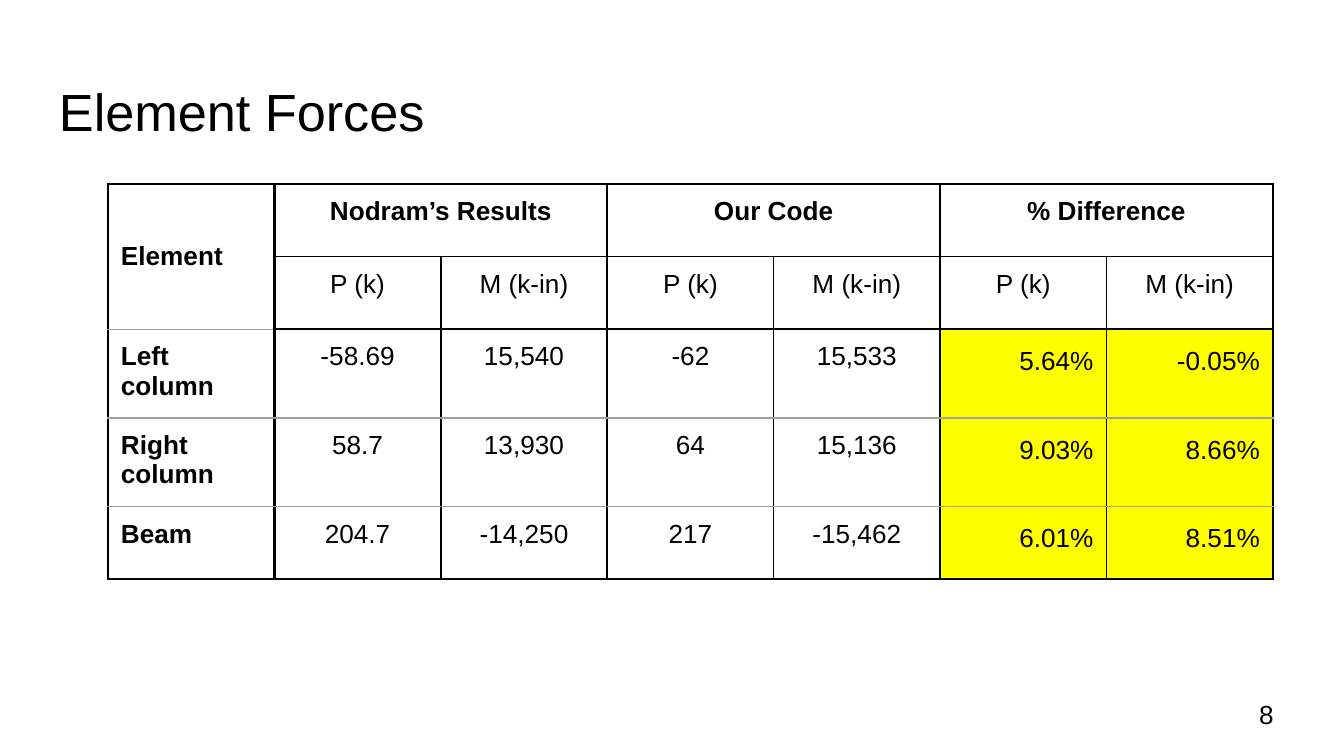
from dataclasses import dataclass

from lxml import etree
from pptx import Presentation
from pptx.dml.color import RGBColor
from pptx.enum.text import MSO_ANCHOR, MSO_AUTO_SIZE, PP_ALIGN
from pptx.oxml.ns import qn
from pptx.util import Emu, Pt

LEFT, CENTER, RIGHT = PP_ALIGN.LEFT, PP_ALIGN.CENTER, PP_ALIGN.RIGHT
TOP, MIDDLE = MSO_ANCHOR.TOP, MSO_ANCHOR.MIDDLE
NO_AUTOFIT = MSO_AUTO_SIZE.NONE
TITLE_ONLY_LAYOUT = 5
EMU_PER_PIXEL = 914400 / 134.4


@dataclass(frozen=True)
class Theme:
    font: str = "Arial"
    ink: str = "000000"
    grid: str = "9E9E9E"
    highlight: str = "FFFF00"
    title_size: int = 28
    text_size: int = 14


@dataclass(frozen=True)
class Box:
    left: int
    top: int
    width: int
    height: int

    def emu(self) -> tuple:
        return tuple(px(value) for value in (self.left, self.top, self.width, self.height))


@dataclass(frozen=True)
class Border:
    color: str
    points: float


@dataclass(frozen=True)
class CellStyle:
    align: PP_ALIGN = CENTER
    bold: bool = False
    fill: str = ""
    spacing: float = 1.0


def px(pixels: float) -> Emu:
    return Emu(round(pixels * EMU_PER_PIXEL))


THEME = Theme()
INSET = px(13)
THICK, MEDIUM = Border(THEME.ink, 1.5), Border(THEME.ink, 1)
THIN = Border(THEME.grid, 0.75)

LABEL = CellStyle(align=LEFT, bold=True)
GROUP = CellStyle(bold=True)
VALUE = CellStyle()
DIFFERENCE = CellStyle(align=RIGHT, fill=THEME.highlight, spacing=1.15)

GROUPS = ("Nodram’s Results", "Our Code", "% Difference")
ROWS = (
    ("Element", *(text for group in GROUPS for text in (group, ""))),
    ("", *("P (k)", "M (k-in)") * len(GROUPS)),
    ("Left column", "-58.69", "15,540", "-62", "15,533", "5.64%", "-0.05%"),
    ("Right column", "58.7", "13,930", "64", "15,136", "9.03%", "8.66%"),
    ("Beam", "204.7", "-14,250", "217", "-15,462", "6.01%", "8.51%"),
)
HEADER_ROWS = 2
FIRST_DIFFERENCE_COLUMN = 5


def write(frame, text: str, size: int, style: CellStyle) -> None:
    frame.text = text
    frame.word_wrap = True
    paragraph = frame.paragraphs[0]
    paragraph.alignment = style.align
    paragraph.line_spacing = style.spacing
    for run in paragraph.runs:
        run.font.name = THEME.font
        run.font.size = Pt(size)
        run.font.bold = style.bold
        run.font.color.rgb = RGBColor.from_string(THEME.ink)


def set_insets(holder) -> None:
    holder.margin_left = holder.margin_right = INSET
    holder.margin_top = holder.margin_bottom = INSET


def style_for(row: int, column: int) -> CellStyle:
    if column == 0:
        return LABEL
    if row == 0:
        return GROUP
    if row >= HEADER_ROWS and column >= FIRST_DIFFERENCE_COLUMN:
        return DIFFERENCE
    return VALUE


def vertical_border(edge: int) -> Border:
    return THICK if edge < 2 else MEDIUM


def horizontal_border(edge: int, column: int) -> Border:
    if edge in (0, len(ROWS)):
        return THICK if column == 0 else MEDIUM
    if edge <= HEADER_ROWS and column > 0:
        return MEDIUM
    return THIN


def draw_border(cell, tag: str, border: Border) -> None:
    properties = cell._tc.get_or_add_tcPr()
    line = etree.SubElement(properties, qn(tag), w=str(Pt(border.points)))
    fill = etree.SubElement(line, qn("a:solidFill"))
    etree.SubElement(fill, qn("a:srgbClr"), val=border.color)


def fill_cell(cell, row: int, column: int) -> None:
    style = style_for(row, column)
    write(cell.text_frame, ROWS[row][column], THEME.text_size, style)
    set_insets(cell)
    cell.vertical_anchor = MIDDLE if row == column == 0 else TOP

    # Borders come before the fill in the cell properties
    draw_border(cell, "a:lnL", vertical_border(column))
    draw_border(cell, "a:lnR", vertical_border(column + cell.span_width))
    draw_border(cell, "a:lnT", horizontal_border(row, column))
    draw_border(cell, "a:lnB", horizontal_border(row + cell.span_height, column))
    if style.fill:
        cell.fill.solid()
        cell.fill.fore_color.rgb = RGBColor.from_string(style.fill)
    else:
        cell.fill.background()


def add_title(slide, text: str, box: Box) -> None:
    title = slide.shapes.title
    title.left, title.top, title.width, title.height = box.emu()
    frame = title.text_frame
    frame.auto_size = NO_AUTOFIT
    frame.vertical_anchor = TOP
    set_insets(frame)
    write(frame, text, THEME.title_size, CellStyle(align=LEFT))


def add_forces_table(slide, box: Box) -> None:
    table = slide.shapes.add_table(len(ROWS), len(ROWS[0]), *box.emu()).table
    table.first_row = table.horz_banding = False
    table.cell(0, 0).merge(table.cell(HEADER_ROWS - 1, 0))
    for column in range(1, len(ROWS[0]), 2):
        table.cell(0, column).merge(table.cell(0, column + 1))
    for row, texts in enumerate(ROWS):
        for column in range(len(texts)):
            cell = table.cell(row, column)
            if not cell.is_spanned:
                fill_cell(cell, row, column)


def add_page_number(slide, text: str, box: Box) -> None:
    frame = slide.shapes.add_textbox(*box.emu()).text_frame
    frame.vertical_anchor = MIDDLE
    set_insets(frame)
    write(frame, text, THEME.text_size, CellStyle(align=LEFT))


presentation = Presentation()
presentation.slide_width, presentation.slide_height = px(1344), px(756)
slide = presentation.slides.add_slide(presentation.slide_layouts[TITLE_ONLY_LAYOUT])

add_title(slide, "Element Forces", Box(46, 66, 1252, 85))
add_page_number(slide, "8", Box(1246, 685, 81, 58))
add_forces_table(slide, Box(108, 184, 1165, 363))

presentation.save("out.pptx")
